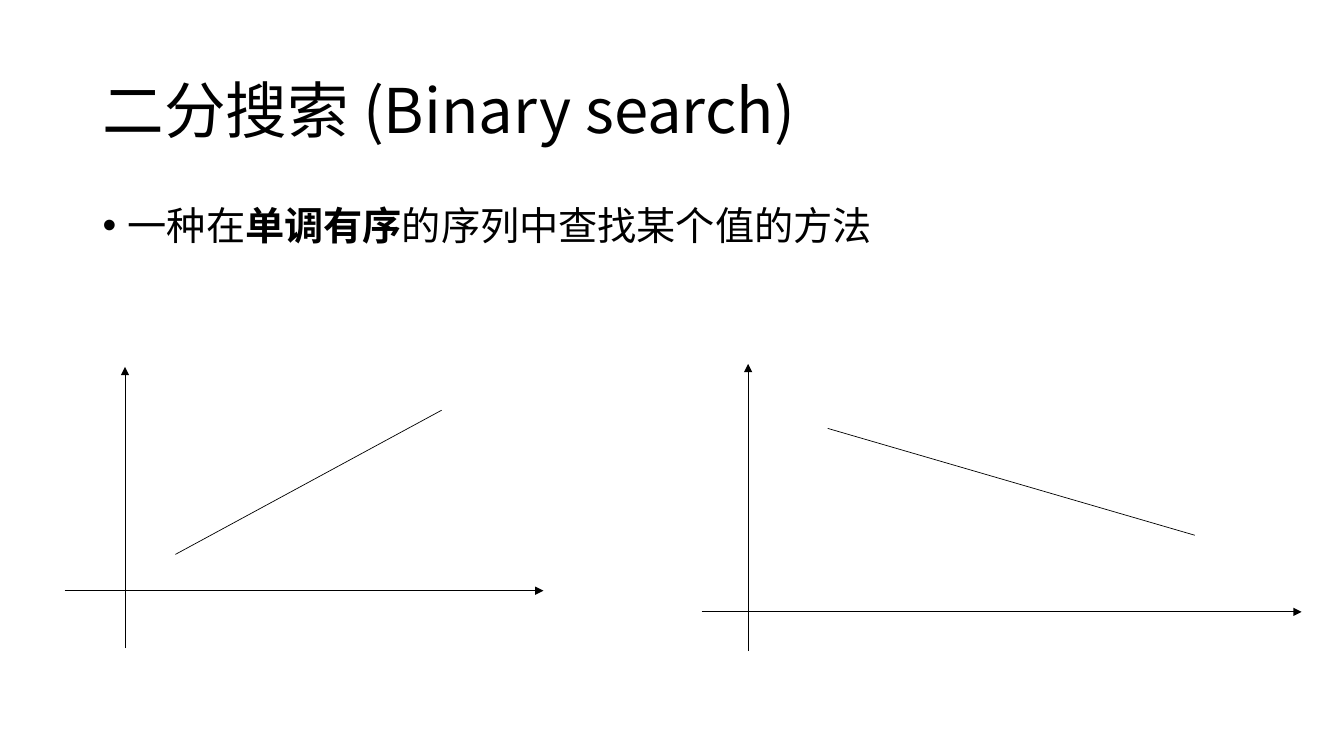
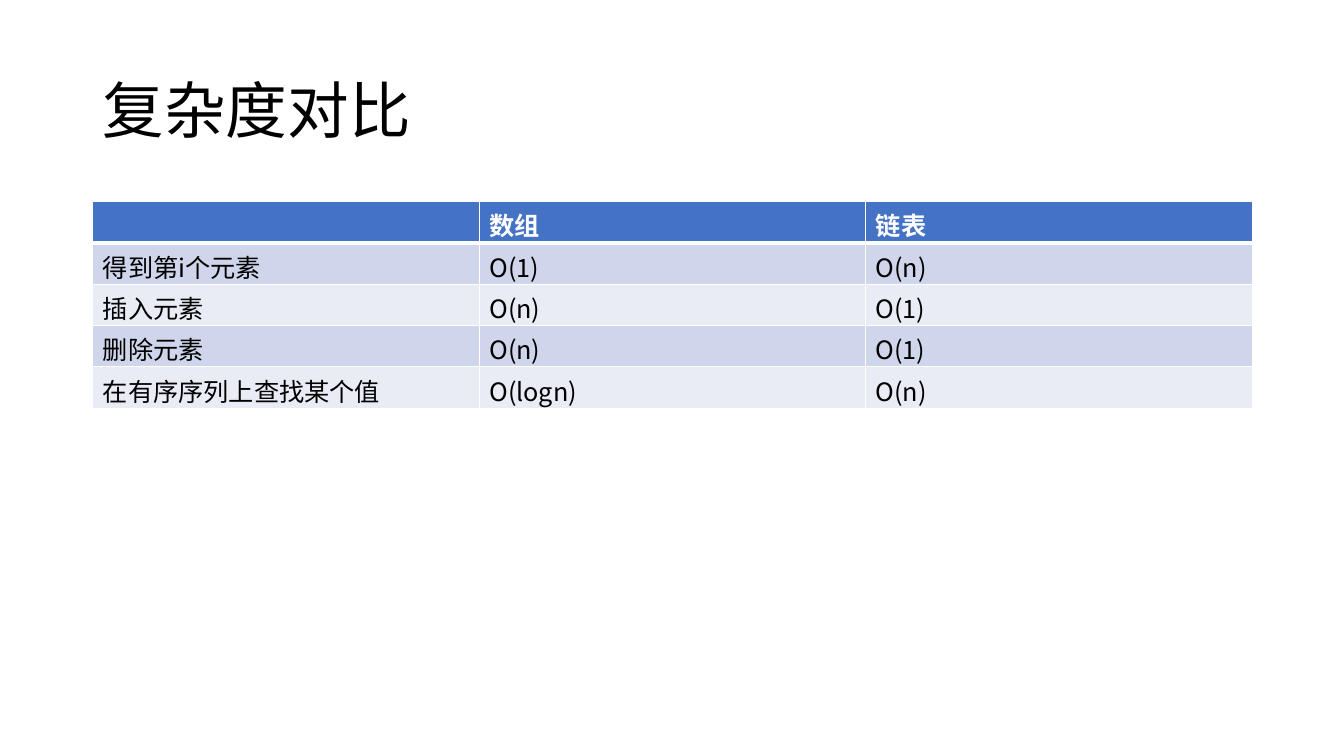
from pptx import Presentation, util as u
from pptx.dml.color import RGBColor
from pptx.enum import shapes, text
from pptx.oxml import parse_xml
from pptx.oxml.ns import nsdecls, qn

FONT = "Noto Sans CJK SC"
BLACK, WHITE, HEAD = "000000", "FFFFFF", "4472C4"
BANDS = ["CFD5EA", "E9EBF5"]


def color(code):
    return RGBColor.from_string(code)


def node(tag, inner="", **attrs):
    """Make one drawing element from its tag, content and attributes."""
    pairs = " ".join(f'{key}="{val}"' for key, val in attrs.items())
    return parse_xml(f'<a:{tag} {nsdecls("a")} {pairs}>{inner}</a:{tag}>')


def apply(item, **values):
    for key, val in values.items():
        setattr(item, key, val)


class Deck:
    def __init__(self):
        self.prs = Presentation()
        apply(self.prs, slide_width=u.Inches(13.33), slide_height=u.Inches(7.5))
        self.slide = None

    def label(self, para, words, size, tint=BLACK, bold=False):
        """Add a styled run to a paragraph."""
        run = para.add_run()
        run.text = words
        apply(run.font, name=FONT, size=u.Pt(size), bold=bold)
        run.font.color.rgb = color(tint)
        run._r.get_or_add_rPr().append(node("ea", typeface=FONT))

    def box(self, top, height, anchor):
        """Add a full-width text box and return its paragraph."""
        area = [u.Inches(n) for n in (0.92, top, 11.5, height)]
        frame = self.slide.shapes.add_textbox(*area).text_frame
        apply(frame, word_wrap=True, vertical_anchor=anchor)
        para = frame.paragraphs[0]
        para.line_spacing = 0.9
        return para

    def page(self, title):
        self.slide = self.prs.slides.add_slide(self.prs.slide_layouts[6])
        self.label(self.box(0.4, 1.45, text.MSO_ANCHOR.MIDDLE), title, 44)

    def bullet(self, parts):
        """Add a bulleted line from (words, bold) pairs."""
        para = self.box(2, 4.76, text.MSO_ANCHOR.TOP)
        para.space_before = u.Pt(10)
        props = para._p.get_or_add_pPr()
        props.set("marL", str(u.Inches(0.25)))
        props.set("indent", str(-u.Inches(0.25)))
        props.append(node("buFont", typeface="Arial"))
        props.append(node("buChar", char="•"))
        for words, bold in parts:
            self.label(para, words, 28, bold=bold)

    def line(self, start, end, arrow=False):
        ends = [u.Inches(n) for n in (*start, *end)]
        link = self.slide.shapes.add_connector(shapes.MSO_CONNECTOR.STRAIGHT, *ends)
        link.line.width = u.Pt(0.5)
        link.line.color.rgb = color(BLACK)
        props = link.element.spPr
        if arrow:
            props.find(qn("a:ln")).append(node("tailEnd", type="triangle"))
        props.append(node("effectLst"))

    def graph(self, left, right, top, base, axis, foot, start, end):
        """Draw two axes that cross at (axis, base), and a trend line."""
        self.line((left, base), (right, base), arrow=True)
        self.line((axis, foot), (axis, top), arrow=True)
        self.line(start, end)

    def edge(self, cell, low):
        """Put white borders on a cell; low is the bottom width in points."""
        fill = f'<a:solidFill><a:srgbClr val="{WHITE}"/></a:solidFill>'
        props = cell._tc.get_or_add_tcPr()
        for spot, side in enumerate("LRTB"):
            width = u.Pt(low if side == "B" else 1)
            props.insert(spot, node(f"ln{side}", fill, w=width))

    def table(self, rows):
        area = [u.Inches(n) for n in (0.92, 2, 11.5, 0.41 * len(rows))]
        grid = self.slide.shapes.add_table(len(rows), len(rows[0]), *area).table
        for i, row in enumerate(rows):
            head = i == 0
            for j, words in enumerate(row):
                cell = grid.cell(i, j)
                cell.fill.solid()
                cell.fill.fore_color.rgb = color(HEAD if head else BANDS[(i - 1) % 2])
                self.edge(cell, 3 if head else 1)
                if words:
                    tint = WHITE if head else BLACK
                    self.label(cell.text_frame.paragraphs[0], words, 18, tint, head)


def main():
    deck = Deck()
    deck.page("二分搜索 (Binary search)")
    deck.bullet([("一种在", False), ("单调有序", True),
                 ("的序列中查找某个值的方法", False)])
    deck.graph(left=0.64, right=5.39, top=3.64, base=5.86, axis=1.24, foot=6.43,
               start=(1.74, 5.5), end=(4.38, 4.07))
    deck.graph(left=6.96, right=12.91, top=3.61, base=6.07, axis=7.42, foot=6.46,
               start=(8.21, 4.25), end=(11.85, 5.31))

    deck.page("复杂度对比")
    deck.table([
        ["", "数组", "链表"],
        ["得到第i个元素", "O(1)", "O(n)"],
        ["插入元素", "O(n)", "O(1)"],
        ["删除元素", "O(n)", "O(1)"],
        ["在有序序列上查找某个值", "O(logn)", "O(n)"],
    ])
    deck.prs.save("out.pptx")


if __name__ == "__main__":
    main()
